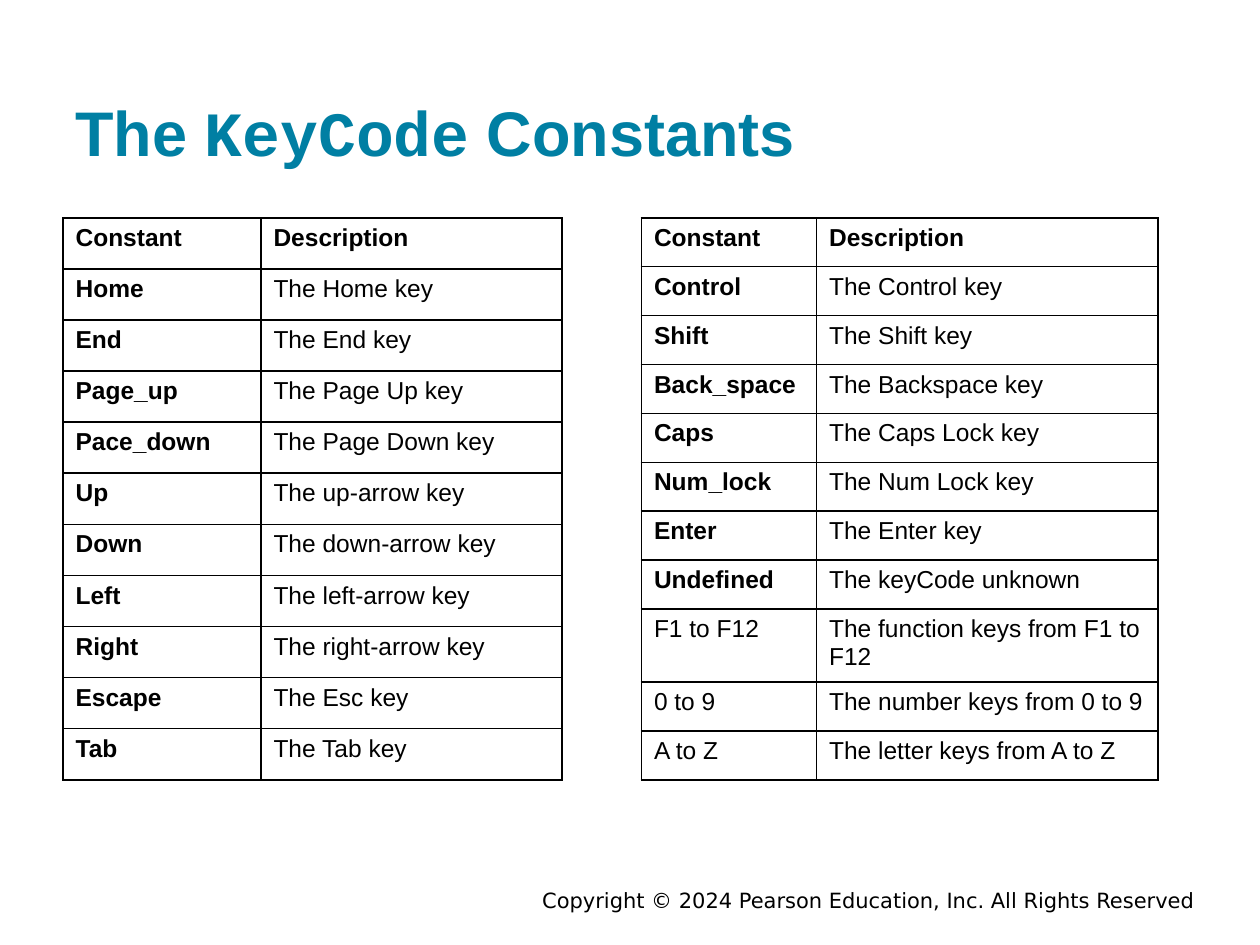
"""Build the slide that lists the KeyCode constants in two tables."""
from lxml.etree import SubElement
from pptx import Presentation
from pptx.dml.color import RGBColor
from pptx.enum.text import MSO_ANCHOR as Anchor, PP_ALIGN as Align
from pptx.oxml.ns import qn
from pptx.util import Cm, Pt

BLACK = RGBColor(0x00, 0x00, 0x00)
WHITE = RGBColor(0xFF, 0xFF, 0xFF)
TEAL = RGBColor(0x00, 0x7F, 0xA3)

HEADER = ("Constant", "Description")
LEFT_KEYS = [
    ("Home", "The Home key"),
    ("End", "The End key"),
    ("Page_up", "The Page Up key"),
    ("Pace_down", "The Page Down key"),
    ("Up", "The up-arrow key"),
    ("Down", "The down-arrow key"),
    ("Left", "The left-arrow key"),
    ("Right", "The right-arrow key"),
    ("Escape", "The Esc key"),
    ("Tab", "The Tab key"),
]
RIGHT_KEYS = [
    ("Control", "The Control key"),
    ("Shift", "The Shift key"),
    ("Back_space", "The Backspace key"),
    ("Caps", "The Caps Lock key"),
    ("Num_lock", "The Num Lock key"),
    ("Enter", "The Enter key"),
    ("Undefined", "The keyCode unknown"),
    ("F1 to F12", "The function keys from F1 to F12"),
    ("0 to 9", "The number keys from 0 to 9"),
    ("A to Z", "The letter keys from A to Z"),
]
KEY_RANGES = ("F1 to F12", "0 to 9", "A to Z")
TABLE_TOP, TABLE_HEIGHT, TALL_ROW = 4.39, 11.33, 1.47


def add_span(para, text, size, color, font="Arial", bold=False):
    span = para.add_run()
    span.text = text
    span.font.name = font
    span.font.size = Pt(size)
    span.font.bold = bold
    span.font.color.rgb = color


def outline_cell(cell):
    properties = cell._tc.get_or_add_tcPr()
    for position, side in enumerate(("lnL", "lnR", "lnT", "lnB")):
        line = SubElement(properties, qn(f"a:{side}"), w=str(Pt(1)))
        properties.insert(position, line)
        fill = SubElement(line, qn("a:solidFill"))
        SubElement(fill, qn("a:srgbClr"), val=str(BLACK))


deck = Presentation()
deck.slide_width, deck.slide_height = Cm(25.4), Cm(19.05)
page = deck.slides.add_slide(deck.slide_layouts[6])

copyright_box = page.shapes.add_textbox(Cm(4.45), Cm(17.86), Cm(19.89), Cm(0.56))
copyright_box.text_frame.word_wrap = True
copyright_box.text_frame.vertical_anchor = Anchor.MIDDLE
para = copyright_box.text_frame.paragraphs[0]
para.alignment = Align.RIGHT
add_span(para, "Copyright © 2024 Pearson Education, Inc. All Rights Reserved",
         12, BLACK, "DejaVu Sans")

title_box = page.shapes.add_textbox(Cm(1.27), Cm(0.61), Cm(22.86), Cm(3.05))
title_frame = title_box.text_frame
title_frame.word_wrap = True
title_frame.vertical_anchor = Anchor.BOTTOM
title_frame.margin_top = title_frame.margin_bottom = Cm(0.25)
for text, font in (("The ", "Arial"), ("KeyCode", "Courier New"), (" Constants", "Arial")):
    add_span(title_frame.paragraphs[0], text, 36, TEAL, font, True)

for left, widths, keys, tall_rows in (
    (1.27, (3.99, 6.07), LEFT_KEYS, ()),
    (12.93, (3.53, 6.88), RIGHT_KEYS, (8,)),
):
    rows = [HEADER, *keys]
    row_height = (TABLE_HEIGHT - TALL_ROW * len(tall_rows)) / (len(rows) - len(tall_rows))
    table = page.shapes.add_table(len(rows), len(HEADER), Cm(left), Cm(TABLE_TOP),
                                  Cm(sum(widths)), Cm(TABLE_HEIGHT)).table
    for column, width in zip(table.columns, widths):
        column.width = Cm(width)
    for row_index, texts in enumerate(rows):
        table.rows[row_index].height = Cm(TALL_ROW if row_index in tall_rows else row_height)
        for column_index, text in enumerate(texts):
            cell = table.cell(row_index, column_index)
            cell.fill.solid()
            cell.fill.fore_color.rgb = WHITE
            outline_cell(cell)
            bold = row_index == 0 or (column_index == 0 and text not in KEY_RANGES)
            add_span(cell.text_frame.paragraphs[0], text, 14, BLACK, bold=bold)

deck.save("out.pptx")
